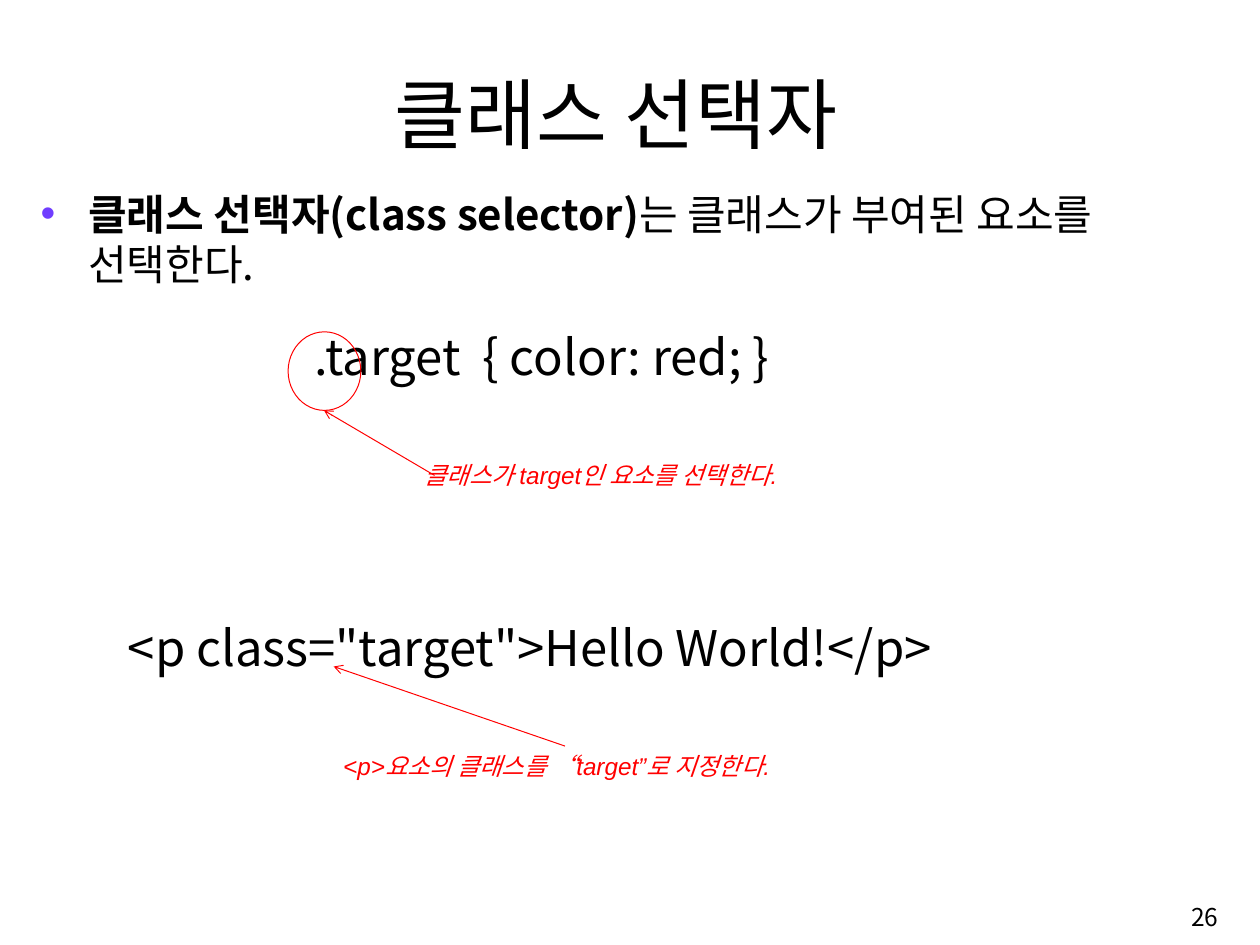
"""Build a slide that explains the CSS class selector."""
from dataclasses import dataclass

from lxml import etree
from pptx import Presentation
from pptx.dml.color import RGBColor
from pptx.enum.shapes import MSO_CONNECTOR, MSO_SHAPE
from pptx.enum.text import MSO_ANCHOR, MSO_AUTO_SIZE, PP_ALIGN
from pptx.oxml.ns import qn
from pptx.util import Inches, Pt

OVAL, STRAIGHT = MSO_SHAPE.OVAL, MSO_CONNECTOR.STRAIGHT
TOP, MIDDLE, BOTTOM = MSO_ANCHOR.TOP, MSO_ANCHOR.MIDDLE, MSO_ANCHOR.BOTTOM
LEFT, CENTER, RIGHT = PP_ALIGN.LEFT, PP_ALIGN.CENTER, PP_ALIGN.RIGHT
FIXED, GROW = MSO_AUTO_SIZE.NONE, MSO_AUTO_SIZE.SHAPE_TO_FIT_TEXT
COLORS = {"text": "000000", "note": "FF0000", "bullet": "703DFF"}
KOREAN = "Noto Sans CJK KR"
CODE = {"size": Pt(36.4), "name": KOREAN}
NOTE = {"size": Pt(18), "name": "Arial", "italic": True}


@dataclass
class Label:
    """A text box with one line of text."""
    text: str
    area: tuple[float, float, float, float]
    font: dict
    color: str = "text"
    wrap: bool = False
    align: PP_ALIGN = LEFT
    anchor: MSO_ANCHOR = TOP


@dataclass
class Arrow:
    """An arrow that may start at the top middle of a label."""
    start: tuple[float, float]
    end: tuple[float, float]
    source: int | None = None


LABELS = [
    Label(".target  { color: red; }", (3.14, 3.32, 6.34, 0.71), CODE),
    Label("클래스가 target인 요소를 선택한다.", (4.28, 4.7, 4.16, 0.4), NOTE, "note"),
    Label('<p class="target">Hello World!</p>', (1.22, 6.31, 8.9, 0.71), CODE),
    Label("<p>요소의 클래스를 “target”로 지정한다.", (3.44, 7.69, 4.77, 0.4), NOTE, "note"),
    Label("26", (9.98, 9.15, 2.68, 0.6), {"size": Pt(18.2), "name": KOREAN},
          wrap=True, align=RIGHT, anchor=MIDDLE),
]
ARROWS = [Arrow((4.48, 4.9), (3.34, 4.23)), Arrow((5.83, 7.69), (3.44, 6.87), source=3)]


def set_values(target, values: dict) -> None:
    """Set each named attribute of the target."""
    for name, value in values.items():
        setattr(target, name, value)


def place(box, area: tuple[float, float, float, float]) -> None:
    """Move and size a box in inches."""
    set_values(box, dict(zip(("left", "top", "width", "height"), map(Inches, area))))


def add_span(para, text: str, font: dict, color: str = "text") -> None:
    """Append formatted text to a paragraph."""
    span = para.add_run()
    span.text = text
    set_values(span.font, font)
    span.font.color.rgb = RGBColor.from_string(COLORS[color])
    properties = span.font._element
    etree.SubElement(properties, qn("a:ea")).set("typeface", KOREAN)


def style_line(shape) -> None:
    """Give a shape the thin red outline."""
    shape.line.color.rgb = RGBColor.from_string(COLORS["note"])
    shape.line.width = Pt(0.75)


def fill_title(title) -> None:
    """Write the heading."""
    place(title, (1.05, 0.61, 10.61, 1.08))
    set_values(title.text_frame, {"vertical_anchor": BOTTOM, "auto_size": FIXED})
    para = title.text_frame.paragraphs[0]
    para.alignment = CENTER
    add_span(para, "클래스 선택자", {"size": Pt(57.2), "name": KOREAN})


def fill_body(body) -> None:
    """Write the bulleted definition."""
    place(body, (0.32, 1.89, 12.32, 7.06))
    body.text_frame.auto_size = FIXED
    para = body.text_frame.paragraphs[0]
    properties = para._p.get_or_add_pPr()
    properties.set("marL", str(Inches(0.49)))
    properties.set("indent", str(-Inches(0.49)))
    bullet_color = etree.SubElement(properties, qn("a:buClr"))
    etree.SubElement(bullet_color, qn("a:srgbClr")).set("val", COLORS["bullet"])
    etree.SubElement(properties, qn("a:buChar")).set("char", "•")
    font = {"size": Pt(31.2), "name": KOREAN}
    add_span(para, "클래스 선택자(class selector)", font | {"bold": True})
    add_span(para, "는 클래스가 부여된 요소를 선택한다.", font | {"bold": False})


def add_label(page, label: Label):
    """Draw a label and return its box."""
    box = page.shapes.add_textbox(*map(Inches, label.area))
    set_values(box.text_frame, {
        "word_wrap": label.wrap,
        "auto_size": FIXED if label.wrap else GROW,
        "vertical_anchor": label.anchor,
    })
    para = box.text_frame.paragraphs[0]
    para.alignment = label.align
    add_span(para, label.text, label.font, label.color)
    return box


def add_circle(page) -> None:
    """Circle the dot of the selector."""
    circle = page.shapes.add_shape(OVAL, *map(Inches, (2.97, 3.42, 0.75, 0.81)))
    circle.shadow.inherit = False
    circle.fill.background()
    style_line(circle)


def add_arrow(page, arrow: Arrow, boxes: list) -> None:
    """Draw an arrow with an open head at its end."""
    connector = page.shapes.add_connector(STRAIGHT, *map(Inches, arrow.start + arrow.end))
    if arrow.source is not None:
        connector.begin_connect(boxes[arrow.source], 0)
    style_line(connector)
    etree.SubElement(connector.line._get_or_add_ln(), qn("a:tailEnd")).set("type", "arrow")
    etree.SubElement(connector._element.spPr, qn("a:effectLst"))


def main() -> None:
    """Create and save the deck."""
    deck = Presentation()
    set_values(deck, {"slide_width": Inches(12.99), "slide_height": Inches(9.74)})
    page = deck.slides.add_slide(deck.slide_layouts[1])
    fill_title(page.shapes.title)
    fill_body(page.placeholders[1])
    boxes = [add_label(page, label) for label in LABELS]
    add_circle(page)
    for arrow in ARROWS:
        add_arrow(page, arrow, boxes)
    deck.save("out.pptx")


if __name__ == "__main__":
    main()
